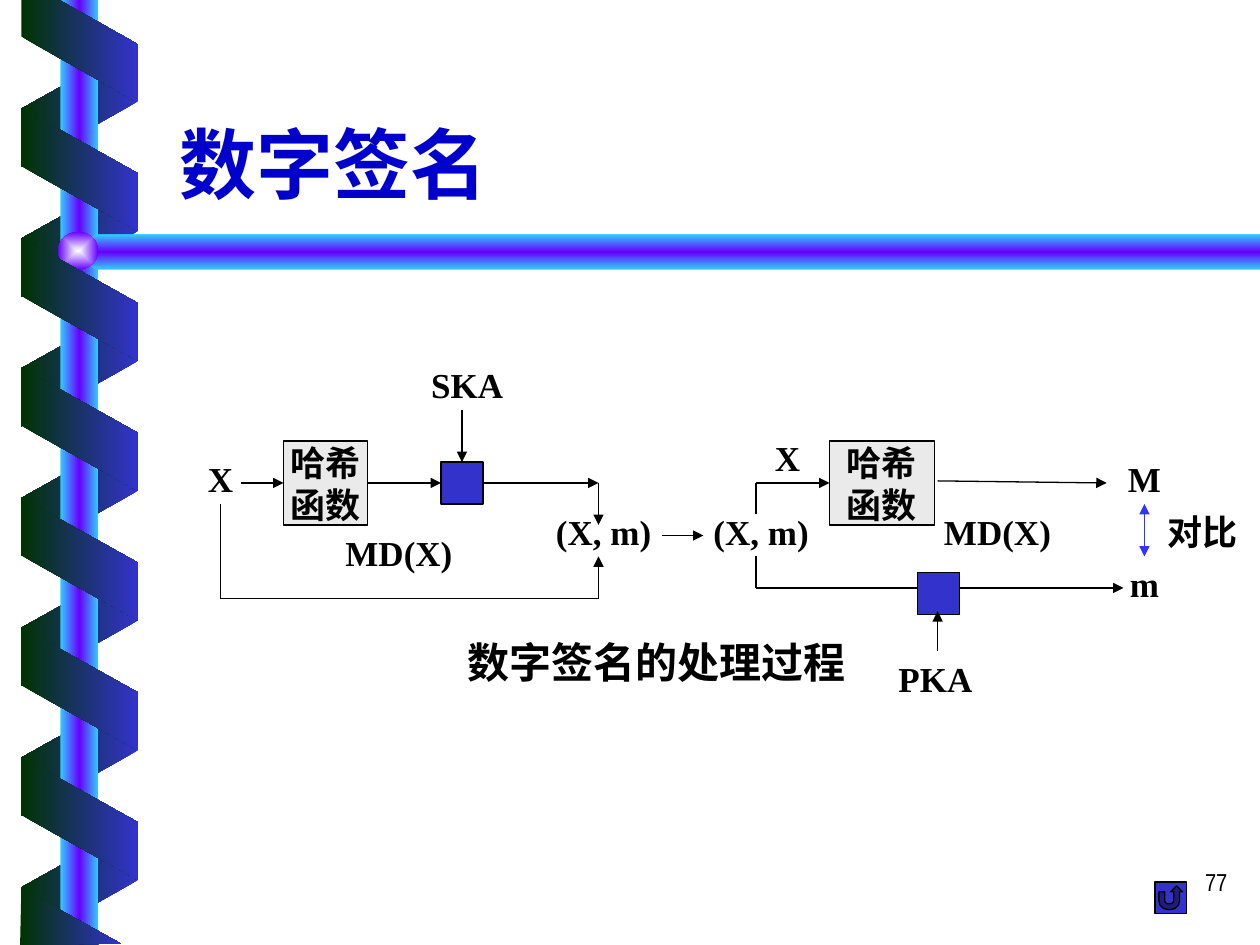
"""Build the slide that explains how a digital signature is processed."""
from lxml import etree
from pptx import Presentation
from pptx.dml.color import RGBColor
from pptx.enum.shapes import MSO_CONNECTOR, MSO_SHAPE
from pptx.enum.text import MSO_ANCHOR, PP_ALIGN
from pptx.oxml.ns import qn
from pptx.util import Inches, Pt

LEFT, CENTER, RIGHT = PP_ALIGN.LEFT, PP_ALIGN.CENTER, PP_ALIGN.RIGHT
TOP, MIDDLE, BOTTOM = MSO_ANCHOR.TOP, MSO_ANCHOR.MIDDLE, MSO_ANCHOR.BOTTOM
RECTANGLE, OVAL, RIBBON = MSO_SHAPE.RECTANGLE, MSO_SHAPE.OVAL, MSO_SHAPE.PARALLELOGRAM
RETURN_BUTTON = MSO_SHAPE.ACTION_BUTTON_RETURN
STRAIGHT = MSO_CONNECTOR.STRAIGHT

COLORS = {
    "black": "000000", "title": "0000CC", "blue": "3333CC", "compare": "3333FF",
    "gray": "EAEAEA", "green": "003300", "sky": "33CCFF", "violet": "6600FF", "glow": "FEFFFF",
}
CELL = Inches(1 / 12)
PITCH = 1.03


def write_text(frame, text, *, size=20, font="Times New Roman", color="black",
               bold=True, align=CENTER, anchor=TOP, wrap=True):
    frame.word_wrap = wrap
    frame.vertical_anchor = anchor
    frame.text = text
    for para in frame.paragraphs:
        para.alignment = align
        para.font.size = Pt(size)
        para.font.name = font
        para.font.bold = bold
        para.font.color.rgb = RGBColor.from_string(COLORS[color])


def paint_gradient(shape, names, angle=0, centered=False):
    shape.shadow.inherit = False
    shape.line.fill.background()
    shape.fill.gradient()
    gradient = shape.element.spPr.find(qn("a:gradFill"))
    for child in list(gradient):
        gradient.remove(child)
    gradient.set("rotWithShape", "0")
    stops = etree.SubElement(gradient, qn("a:gsLst"))
    for index, name in enumerate(names):
        stop = etree.SubElement(stops, qn("a:gs"), pos=str(100000 * index // (len(names) - 1)))
        etree.SubElement(stop, qn("a:srgbClr"), val=COLORS[name])
    if centered:
        focus = etree.SubElement(gradient, qn("a:path"), path="rect")
        etree.SubElement(focus, qn("a:fillToRect"), l="50000", t="50000", r="50000", b="50000")
    else:
        etree.SubElement(gradient, qn("a:lin"), ang=str(angle * 60000), scaled="1")


deck = Presentation()
deck.slide_width, deck.slide_height = Inches(10), Inches(7.5)
page = deck.slides.add_slide(deck.slide_layouts[6])
shapes = page.shapes

outlines = {
    "bar": [(1000, 186), (76, 186), (60, 200), (76, 214), (1000, 214)],
    "top end": [(17, 0), (17, 29), (109, 81), (109, 35), (47, 0)],
    "bottom end": [(96, 749), (17, 705), (16, 750)],
}
pieces = {}
for first_top, count, rotation, names in [
    (0.37, 7, 90, ("blue", "green")),
    (0.88, 6, 270, ("green", "blue")),
]:
    for index in range(count):
        ribbon = shapes.add_shape(RIBBON, Inches(0.14), Inches(first_top + index * PITCH),
                                  Inches(0.98), Inches(0.93))
        ribbon.adjustments[0] = 0.56
        ribbon.rotation = rotation
        if rotation == 90:
            ribbon.element.spPr.xfrm.set("flipH", "1")
        paint_gradient(ribbon, names)
    if rotation == 90:
        pole = shapes.add_shape(RECTANGLE, Inches(0.48), 0, Inches(0.3), deck.slide_height)
        paint_gradient(pole, ("sky", "violet", "sky"))
        parts = ["bar"]
    else:
        parts = ["top end", "bottom end"]
    for part in parts:
        start, *rest = outlines[part]
        builder = shapes.build_freeform(*start, scale=Inches(0.01))
        builder.add_line_segments(rest, close=True)
        pieces[part] = builder.convert_to_shape()
        if part == "bar":
            paint_gradient(pieces[part], ("sky", "violet", "sky"), angle=90)
            ball = shapes.add_shape(OVAL, Inches(0.46), Inches(1.84), Inches(0.32), Inches(0.3))
            paint_gradient(ball, ("glow", "violet"), centered=True)
        else:
            paint_gradient(pieces[part], names)

number = shapes.add_textbox(Inches(7.76), Inches(6.83), Inches(2.08), Inches(0.5))
write_text(number.text_frame, "77", size=14, font="Arial Narrow", bold=False, align=RIGHT)
title = shapes.add_textbox(Inches(1.33), Inches(0.46), Inches(8.5), Inches(1.25))
write_text(title.text_frame, "数字签名", size=44, font="Noto Sans CJK SC", color="title",
           align=LEFT, anchor=BOTTOM)

flows = [
    (23, 46, 27, 46, "end"), (35, 46, 42, 46, "end"), (46, 46, 57, 46, "end"),
    (44, 39, 44, 44, "end"), (57, 46, 57, 50, "end"), (21, 48, 21, 57, ""),
    (21, 57, 57, 57, ""), (57, 57, 57, 53, "end"), (63, 51, 67, 51, "end"),
    (72, 49, 72, 46, ""), (72, 46, 79, 46, "end"), (72, 53, 72, 56, ""),
    (72, 56, 107, 56, "end"), (89.3, 45.8, 105.4, 46, "end"),
    (89.3, 62, 89.3, 58.2, "end"), (109, 48, 109, 53, "both"),
]
blocks = [
    (27, 42, 8, 8, "gray", "哈希\n函数"), (79, 42, 10, 8, "gray", "哈希\n函数"),
    (42, 44, 4, 4, "blue", ""), (87.4, 54.5, 4, 4, "blue", ""),
]
labels = [
    ("X", 18, 43, 6), ("MD(X)", 29, 50, 18), ("(X, m)", 51, 48, 13), ("SKA", 39, 34, 11),
    ("(X, m)", 66, 48, 13), ("X", 72, 41, 6), ("MD(X)", 88, 48, 14), ("M", 106, 43, 6),
    ("m", 106, 53, 6), ("PKA", 83.6, 62, 11),
]

for column, row, width, height, color, text in blocks:
    block = shapes.add_shape(RECTANGLE, *(int(CELL * n) for n in (column, row, width, height)))
    block.shadow.inherit = False
    block.fill.solid()
    block.fill.fore_color.rgb = RGBColor.from_string(COLORS[color])
    block.line.color.rgb = RGBColor.from_string(COLORS["black"])
    block.line.width = Pt(0.75)
    if text:
        write_text(block.text_frame, text, anchor=MIDDLE, wrap=False)
    else:
        through_row = row + 1.5 if row > 50 else None

for *ends, arrow in flows:
    spans = [ends]
    if ends == [72, 56, 107, 56]:
        spans = [[72, 56, 87.4, 56], [91.4, 56, 107, 56]]
    for span in spans:
        flow = shapes.add_connector(STRAIGHT, *(int(CELL * n) for n in span))
        flow.line.color.rgb = RGBColor.from_string(COLORS["compare" if arrow == "both" else "black"])
        flow.line.width = Pt(0.75)
        outline = flow.element.spPr.find(qn("a:ln"))
        if arrow == "both":
            etree.SubElement(outline, qn("a:headEnd"), type="triangle")
        if arrow and span[2:] == ends[2:]:
            etree.SubElement(outline, qn("a:tailEnd"), type="triangle")
        etree.SubElement(flow.element.spPr, qn("a:effectLst"))

for text, column, row, width in labels:
    label = shapes.add_textbox(*(int(CELL * n) for n in (column, row, width, 5.25)))
    write_text(label.text_frame, text)
comparison = shapes.add_textbox(CELL * 110, CELL * 48, CELL * 10, int(CELL * 5.25))
write_text(comparison.text_frame, "对比", align=LEFT)
caption = shapes.add_textbox(CELL * 40, CELL * 60, CELL * 45, CELL * 6)
write_text(caption.text_frame, "数字签名的处理过程", size=24)

button = shapes.add_shape(RETURN_BUTTON, CELL * 110, CELL * 84, CELL * 3, CELL * 3)
button.shadow.inherit = False
button.fill.solid()
button.fill.fore_color.rgb = RGBColor.from_string(COLORS["blue"])
button.line.color.rgb = RGBColor.from_string(COLORS["black"])
button.line.width = Pt(0.75)

deck.save("out.pptx")
